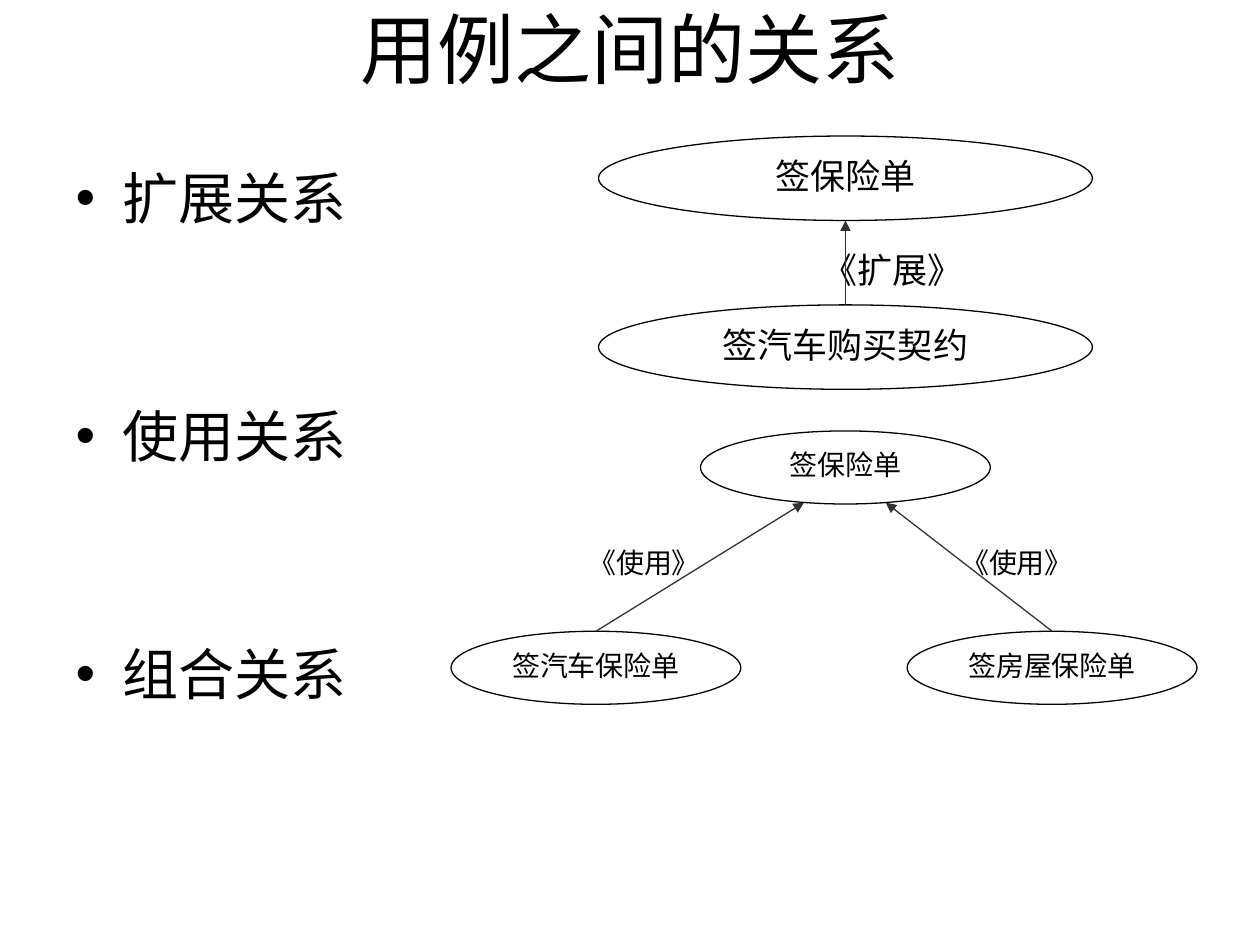
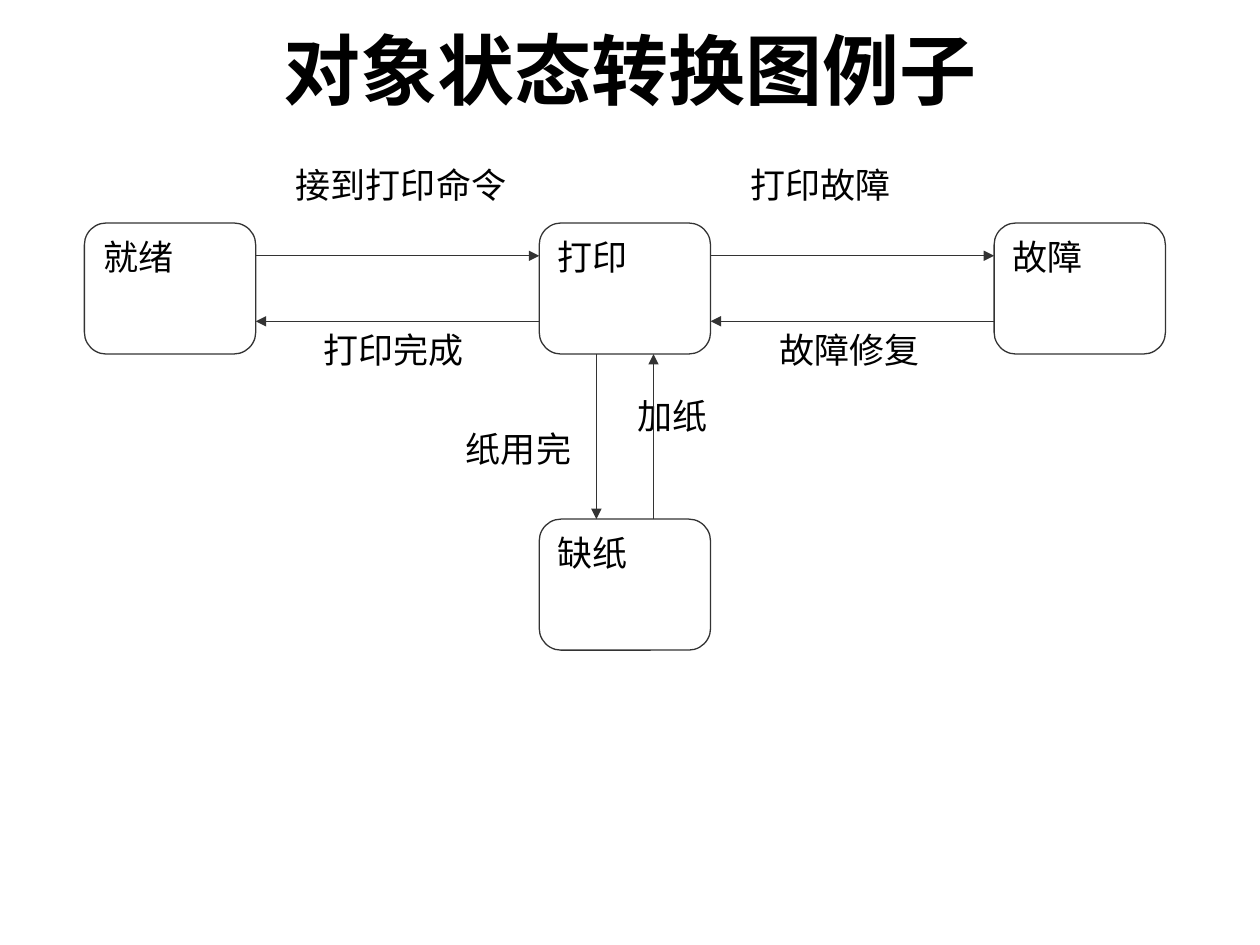
"""Build two slides on use case relations and an object state diagram."""
from dataclasses import dataclass

import pptx
import pptx.dml.color
import pptx.enum.shapes
import pptx.enum.text
import pptx.oxml
import pptx.oxml.ns
import pptx.presentation
import pptx.shapes.autoshape
import pptx.shapes.placeholder
import pptx.slide
import pptx.text.text
import pptx.util
from pptx.util import Inches

BLACK = pptx.dml.color.RGBColor(0x00, 0x00, 0x00)
WHITE = pptx.dml.color.RGBColor(0xFF, 0xFF, 0xFF)
GRAY = pptx.dml.color.RGBColor(0x33, 0x33, 0x33)
FONT_NAME = "Times New Roman"
LINE_WIDTH = pptx.util.Pt(0.75)
LAYOUT_CONTENT, LAYOUT_TITLE_ONLY = 1, 5
TOP_SIDE = 0

RECTANGLE = pptx.enum.shapes.MSO_SHAPE.RECTANGLE
ELLIPSE = pptx.enum.shapes.MSO_SHAPE.OVAL
STATE_BOX = pptx.enum.shapes.MSO_SHAPE.FLOWCHART_ALTERNATE_PROCESS
CENTER = pptx.enum.text.PP_ALIGN.CENTER
JUSTIFY = pptx.enum.text.PP_ALIGN.JUSTIFY

STATE_WIDTH, STATE_HEIGHT = 1.36, 1.04
STATE_LEFT, STATE_TOP = 0.67, 1.77
COLUMN_STEP, ROW_STEP = 3.61, 2.35


@dataclass(frozen=True)
class Box:
    """A text-bearing shape, measured in inches and points."""

    text: str
    left: float
    top: float
    width: float
    height: float
    size: int = 20

    def point(self, across: float, down: float) -> tuple[float, float]:
        """Return the point at the given fractions of the box."""
        return self.left + across * self.width, self.top + down * self.height


@dataclass(frozen=True)
class UseCaseArrow:
    """An arrow from the top of a use case to a point on another."""

    source: Box
    tip: tuple[float, float]


@dataclass(frozen=True)
class Transition:
    """An arrow between two states, with fractions of their boxes."""

    source: Box
    leave: tuple[float, float]
    target: Box
    enter: tuple[float, float]


def state(text: str, column: int, row: int) -> Box:
    """Return a state placed on the diagram grid."""
    return Box(text, STATE_LEFT + column * COLUMN_STEP, STATE_TOP + row * ROW_STEP,
               STATE_WIDTH, STATE_HEIGHT)


WIDE_CASE = (3.92, 0.67)
SMALL_CASE = (2.3, 0.58, 16)
USE_LABEL = (4.28, 1.31, 0.43, 16)

SIGN_POLICY = Box("签保险单", 4.75, 1.08, *WIDE_CASE)
SIGN_CAR_CONTRACT = Box("签汽车购买契约", 4.75, 2.42, *WIDE_CASE)
SHARED_POLICY = Box("签保险单", 5.56, 3.42, *SMALL_CASE)
CAR_POLICY = Box("签汽车保险单", 3.58, 5.01, *SMALL_CASE)
HOUSE_POLICY = Box("签房屋保险单", 7.2, 5.01, *SMALL_CASE)
USE_CASES = (SIGN_POLICY, SIGN_CAR_CONTRACT, SHARED_POLICY, CAR_POLICY, HOUSE_POLICY)
USE_CASE_LABELS = (
    Box("《扩展》", 6.43, 1.92, 2.24, 0.5),
    Box("《使用》", 7.53, *USE_LABEL),
    Box("《使用》", 4.57, *USE_LABEL),
)
USE_CASE_ARROWS = (
    UseCaseArrow(SIGN_CAR_CONTRACT, SIGN_POLICY.point(0.5, 1)),
    UseCaseArrow(CAR_POLICY, (6.38, 3.99)),
    UseCaseArrow(HOUSE_POLICY, (7.03, 3.99)),
)

READY = state("就绪", 0, 0)
PRINTING = state("打印", 1, 0)
NO_PAPER = state("缺纸", 1, 1)
FAULT = state("故障", 2, 0)
STATES = (READY, PRINTING, NO_PAPER, FAULT)
STATE_LABELS = (
    Box("加纸", 4.96, 3.08, 1.58, 0.78),
    Box("纸用完", 3.6, 3.34, 1.36, 0.78),
    Box("故障修复", 6.09, 2.56, 1.58, 0.78),
    Box("打印故障", 5.86, 1.25, 1.58, 0.78),
    Box("打印完成", 2.47, 2.56, 1.58, 0.78),
    Box("接到打印命令", 2.25, 1.25, 2.03, 0.78),
)
TRANSITIONS = (
    Transition(READY, (1, 1 / 4), PRINTING, (0, 1 / 4)),
    Transition(PRINTING, (0, 3 / 4), READY, (1, 3 / 4)),
    Transition(PRINTING, (1 / 3, 1), NO_PAPER, (1 / 3, 0)),
    Transition(NO_PAPER, (2 / 3, 0), PRINTING, (2 / 3, 1)),
    Transition(PRINTING, (1, 1 / 4), FAULT, (0, 1 / 4)),
    Transition(FAULT, (0, 3 / 4), PRINTING, (1, 3 / 4)),
)


def add_run(paragraph: pptx.text.text._Paragraph, text: str, size: int,
            bold: bool = False) -> None:
    """Add a formatted run to a paragraph."""
    run = paragraph.add_run()
    run.text = text
    run.font.name = FONT_NAME
    run.font.size = pptx.util.Pt(size)
    run.font.bold = bold
    run.font.color.rgb = BLACK


def place(shape: pptx.shapes.placeholder.SlidePlaceholder, left: float, top: float,
          width: float, height: float) -> pptx.text.text.TextFrame:
    """Move a placeholder and return its text frame."""
    shape.left, shape.top = Inches(left), Inches(top)
    shape.width, shape.height = Inches(width), Inches(height)
    shape.text_frame.auto_size = pptx.enum.text.MSO_AUTO_SIZE.NONE
    return shape.text_frame


def add_slide(presentation: pptx.presentation.Presentation, layout: int, title: str,
              top: float, bold: bool = False) -> pptx.slide.Slide:
    """Add a slide with its title."""
    slide = presentation.slides.add_slide(presentation.slide_layouts[layout])
    text_frame = place(slide.shapes.title, 0.75, top, 8.5, 0.75)
    text_frame.vertical_anchor = pptx.enum.text.MSO_ANCHOR.MIDDLE
    paragraph = text_frame.paragraphs[0]
    paragraph.alignment = CENTER
    add_run(paragraph, title, 44, bold)
    return slide


def add_list(slide: pptx.slide.Slide, items: tuple[str, ...]) -> None:
    """Fill the body placeholder with widely spaced bullets."""
    text_frame = place(slide.placeholders[1], 0.5, 1.25, 2.54, 4.5)
    for index, item in enumerate(items):
        paragraph = text_frame.add_paragraph() if index else text_frame.paragraphs[0]
        paragraph.space_before = pptx.util.Pt(97.6 if index else 0)
        add_run(paragraph, item, 32)


def add_box(slide: pptx.slide.Slide, box: Box, kind: pptx.enum.shapes.MSO_SHAPE,
            alignment: pptx.enum.text.PP_ALIGN,
            line_color: pptx.dml.color.RGBColor | None = None,
            ) -> pptx.shapes.autoshape.Shape:
    """Draw a white shape with text, outlined when a line colour is given."""
    shape = slide.shapes.add_shape(kind, Inches(box.left), Inches(box.top),
                                   Inches(box.width), Inches(box.height))
    shape.shadow.inherit = False
    shape.fill.solid()
    shape.fill.fore_color.rgb = WHITE
    if line_color is None:
        shape.line.fill.background()
    else:
        shape.line.color.rgb = line_color
        shape.line.width = LINE_WIDTH
    text_frame = shape.text_frame
    text_frame.word_wrap = True
    text_frame.vertical_anchor = pptx.enum.text.MSO_ANCHOR.TOP
    paragraph = text_frame.paragraphs[0]
    paragraph.alignment = alignment
    add_run(paragraph, box.text, box.size)
    return shape


def add_arrow(slide: pptx.slide.Slide, start: tuple[float, float],
              end: tuple[float, float],
              source: pptx.shapes.autoshape.Shape | None = None) -> None:
    """Draw an arrow, joined to the top of the source shape if given."""
    connector = slide.shapes.add_connector(
        pptx.enum.shapes.MSO_CONNECTOR.STRAIGHT, *map(Inches, start + end))
    if source is not None:
        connector.begin_connect(source, TOP_SIDE)
    connector.line.color.rgb = GRAY
    connector.line.width = LINE_WIDTH
    properties = connector._element.spPr
    arrowhead = pptx.oxml.parse_xml(
        f'<a:tailEnd {pptx.oxml.ns.nsdecls("a")} type="triangle"/>')
    properties.get_or_add_ln().append(arrowhead)
    properties.append(pptx.oxml.parse_xml(
        f'<a:effectLst {pptx.oxml.ns.nsdecls("a")}/>'))


def build_use_case_slide(presentation: pptx.presentation.Presentation) -> None:
    """Build the slide on relations between use cases."""
    slide = add_slide(presentation, LAYOUT_CONTENT, "用例之间的关系", 0)
    add_list(slide, ("扩展关系", "使用关系", "组合关系"))
    for label in USE_CASE_LABELS:
        add_box(slide, label, RECTANGLE, JUSTIFY)
    ellipses = {case: add_box(slide, case, ELLIPSE, CENTER, BLACK) for case in USE_CASES}
    for arrow in USE_CASE_ARROWS:
        add_arrow(slide, arrow.source.point(0.5, 0), arrow.tip, ellipses[arrow.source])


def build_state_slide(presentation: pptx.presentation.Presentation) -> None:
    """Build the slide with the printer state diagram."""
    slide = add_slide(presentation, LAYOUT_TITLE_ONLY, "对象状态转换图例子", 0.17, True)
    for label in STATE_LABELS:
        add_box(slide, label, RECTANGLE, JUSTIFY)
    for box in STATES:
        add_box(slide, box, STATE_BOX, JUSTIFY, GRAY)
    for transition in TRANSITIONS:
        add_arrow(slide, transition.source.point(*transition.leave),
                  transition.target.point(*transition.enter))


def main() -> None:
    """Build and save the presentation."""
    presentation = pptx.Presentation()
    presentation.slide_width = Inches(10)
    presentation.slide_height = Inches(7.5)
    build_use_case_slide(presentation)
    build_state_slide(presentation)
    presentation.save("out.pptx")


if __name__ == "__main__":
    main()
